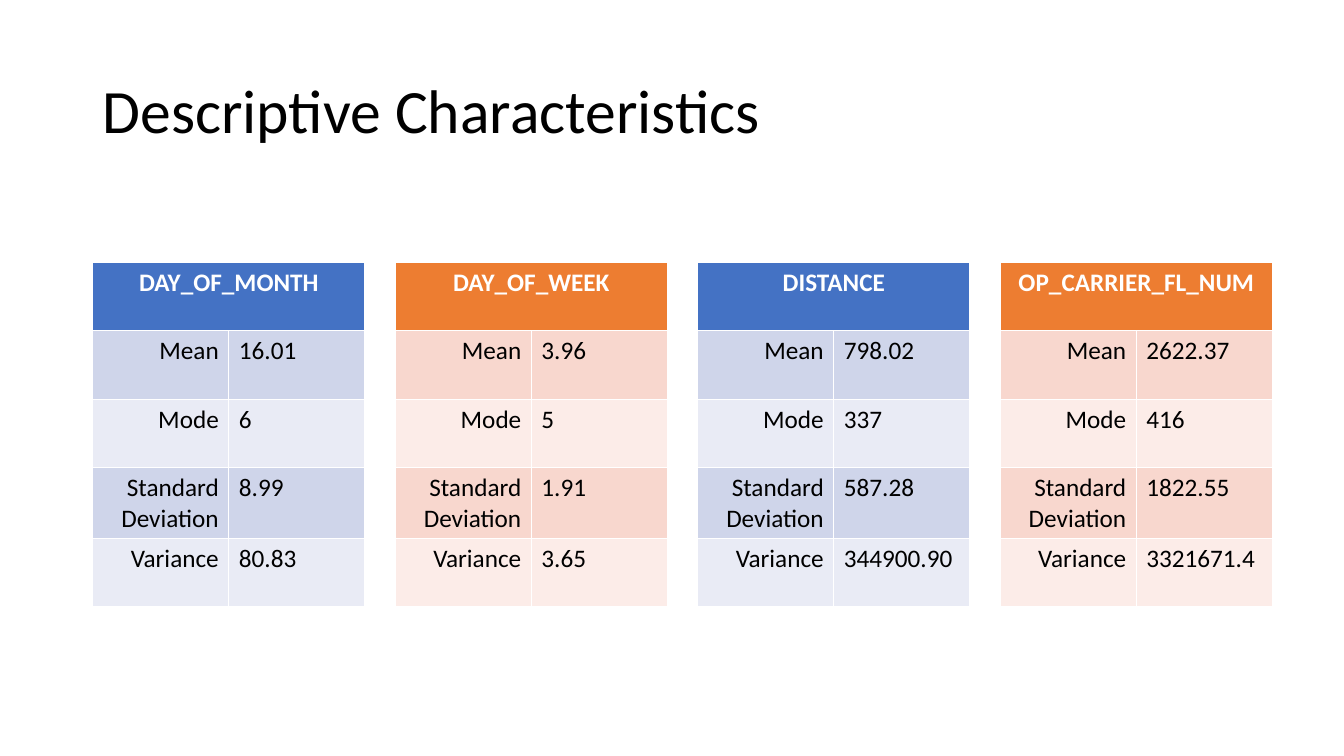
from dataclasses import dataclass

from pptx import Presentation
from pptx.dml.color import RGBColor
from pptx.enum.text import MSO_ANCHOR, PP_ALIGN
from pptx.util import Inches, Pt

LEFT, CENTER, RIGHT = PP_ALIGN.LEFT, PP_ALIGN.CENTER, PP_ALIGN.RIGHT
MIDDLE = MSO_ANCHOR.MIDDLE


@dataclass(frozen=True)
class Theme:
    font: str = "Calibri"
    title_size: int = 44
    table_size: int = 18
    text: str = "000000"
    header_text: str = "FFFFFF"
    # Each palette: header fill, odd row fill, even row fill
    palettes: tuple = (
        ("4472C4", "CFD5EA", "E9EBF5"),
        ("ED7D31", "F8D7CE", "FCECE8"),
    )


theme = Theme()


def style_text(paragraph, size, color, bold=False, alignment=LEFT):
    paragraph.alignment = alignment
    paragraph.font.name = theme.font
    paragraph.font.size = Pt(size)
    paragraph.font.bold = bold
    paragraph.font.color.rgb = RGBColor.from_string(color)


def fill_cell(cell, text, fill, color, bold, alignment):
    cell.text = text
    cell.fill.solid()
    cell.fill.fore_color.rgb = RGBColor.from_string(fill)
    style_text(cell.text_frame.paragraphs[0], theme.table_size, color, bold, alignment)


STATISTICS = ("Mean", "Mode", "Standard Deviation", "Variance")
VARIABLES = {
    "DAY_OF_MONTH": ("16.01", "6", "8.99", "80.83"),
    "DAY_OF_WEEK": ("3.96", "5", "1.91", "3.65"),
    "DISTANCE": ("798.02", "337", "587.28", "344900.90"),
    "OP_CARRIER_FL_NUM": ("2622.37", "416", "1822.55", "3321671.4"),
}
MARGIN, TABLE_TOP, TABLE_STEP = 0.92, 2.6, 3.0
COLUMN_WIDTH, ROW_HEIGHT = 1.35, 0.68
ROW_COUNT = len(STATISTICS) + 1

presentation = Presentation()
presentation.slide_width = Inches(13.33)
presentation.slide_height = Inches(7.5)
slide = presentation.slides.add_slide(presentation.slide_layouts[6])

# Title
title = slide.shapes.add_textbox(Inches(MARGIN), Inches(0.4), Inches(11.5), Inches(1.45))
title.text_frame.word_wrap = True
title.text_frame.vertical_anchor = MIDDLE
title_paragraph = title.text_frame.paragraphs[0]
title_paragraph.text = "Descriptive Characteristics"
title_paragraph.line_spacing = 0.9
style_text(title_paragraph, theme.title_size, theme.text)

# One table per variable, in alternating palettes
for index, (variable, values) in enumerate(VARIABLES.items()):
    header_fill, *row_fills = theme.palettes[index % 2]
    table = slide.shapes.add_table(
        ROW_COUNT, 2,
        Inches(MARGIN + index * TABLE_STEP), Inches(TABLE_TOP),
        Inches(2 * COLUMN_WIDTH), Inches(ROW_COUNT * ROW_HEIGHT),
    ).table

    # Header across both columns
    header = table.cell(0, 0)
    header.merge(table.cell(0, 1))
    fill_cell(header, variable, header_fill, theme.header_text, True, CENTER)

    # Statistic names and values
    for row, (statistic, value) in enumerate(zip(STATISTICS, values), start=1):
        row_fill = row_fills[(row - 1) % 2]
        fill_cell(table.cell(row, 0), statistic, row_fill, theme.text, False, RIGHT)
        fill_cell(table.cell(row, 1), value, row_fill, theme.text, False, LEFT)

presentation.save("out.pptx")
